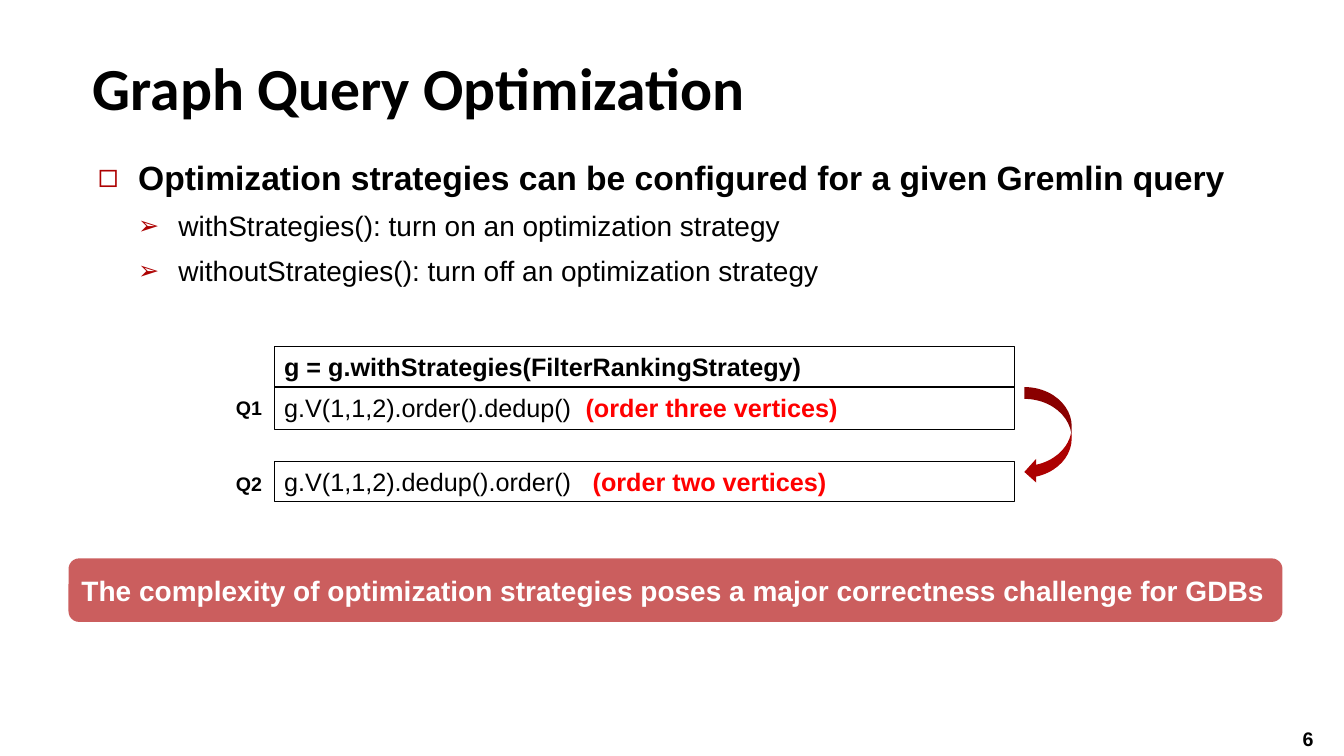
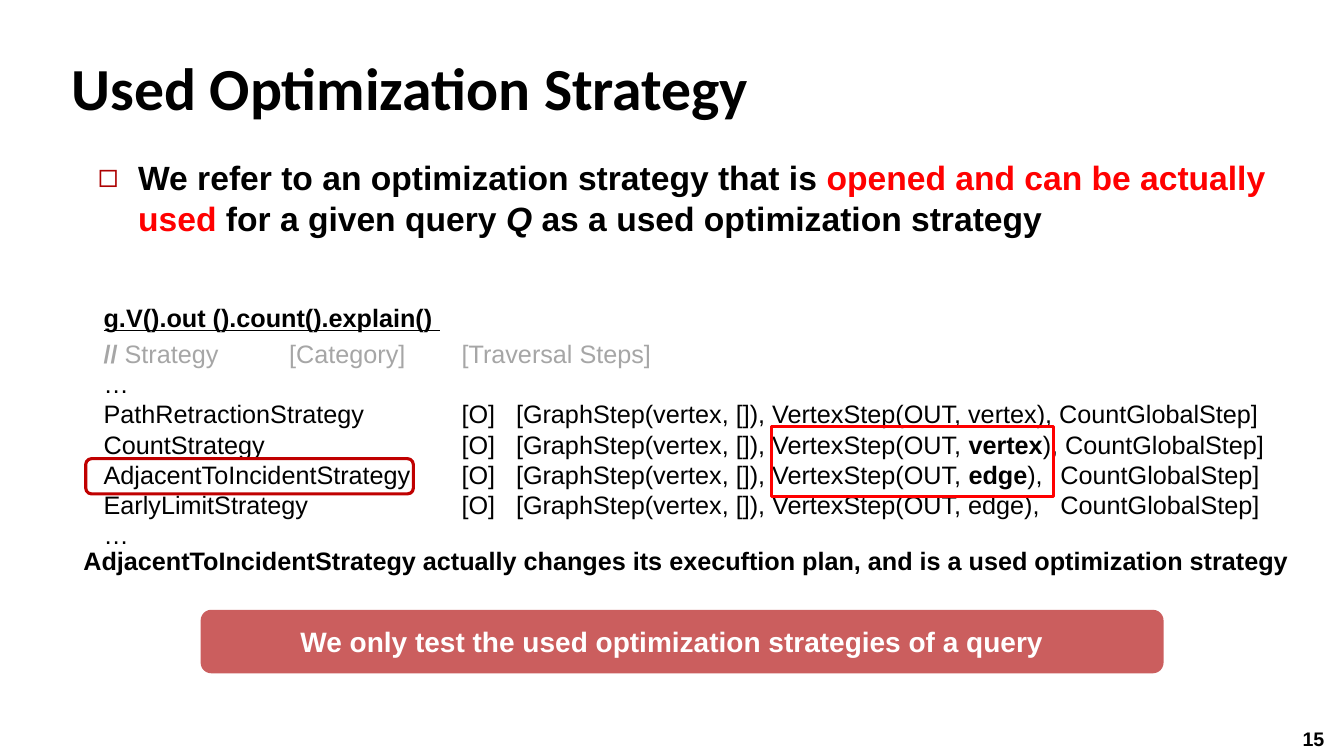
from dataclasses import dataclass

from lxml import etree
from pptx import Presentation
from pptx import util as u
from pptx.dml.color import RGBColor
from pptx.enum import shapes, text
from pptx.oxml.ns import qn

# Shared style
BLACK, WHITE, GRAY = "000000", "FFFFFF", "A6A6A6"
RED, DARK_RED, CRIMSON = "FF0000", "AD0101", "C00000"
BODY_FONT, TITLE_FONT = "Arial", "Calibri"
LEFT, CENTER = text.PP_ALIGN.LEFT, text.PP_ALIGN.CENTER
RECT, ROUND = shapes.MSO_SHAPE.RECTANGLE, shapes.MSO_SHAPE.ROUNDED_RECTANGLE


@dataclass(frozen=True)
class Run:
    text: str
    bold: bool = False
    color: str = BLACK
    italic: bool = False
    underline: bool = False


@dataclass(frozen=True)
class Para:
    runs: tuple[Run, ...]
    size: float = 18
    before: float = 0
    align: text.PP_ALIGN = LEFT
    tabs: tuple[float, ...] = ()
    level: int = 0
    bullet: str = ""
    bullet_pct: int = 100


@dataclass(frozen=True)
class Box:
    left: float
    top: float
    width: float
    height: float

    def lengths(self) -> tuple:
        return tuple(u.Inches(v) for v in (self.left, self.top, self.width, self.height))


@dataclass(frozen=True)
class Banner:
    box: Box
    label_left: float
    label_width: float
    label: str
    align: text.PP_ALIGN = LEFT


def rgb(value: str) -> RGBColor:
    return RGBColor.from_string(value)


def heading(*runs: Run) -> Para:
    return Para(runs, size=24, before=16, bullet="◻")


def subpoint(label: str) -> Para:
    return Para((Run(label),), size=20, before=8, level=1, bullet="➢", bullet_pct=90)


def add_bullet(pPr, item: Para) -> None:
    pPr.set("marL", str(u.Inches(0.4 * (item.level + 1))))
    pPr.set("indent", str(u.Inches(-0.4)))
    color = etree.SubElement(pPr, qn("a:buClr"))
    etree.SubElement(color, qn("a:srgbClr"), val=DARK_RED)
    etree.SubElement(pPr, qn("a:buSzPct"), val=str(item.bullet_pct * 1000))
    etree.SubElement(pPr, qn("a:buFont"), typeface=BODY_FONT)
    etree.SubElement(pPr, qn("a:buChar"), char=item.bullet)


def write(sp, paras: list[Para], font: str = BODY_FONT, anchor=text.MSO_ANCHOR.TOP) -> None:
    tf = sp.text_frame
    tf.word_wrap = True
    tf.auto_size = text.MSO_AUTO_SIZE.NONE
    tf.vertical_anchor = anchor
    for i, item in enumerate(paras):
        p = tf.add_paragraph() if i else tf.paragraphs[0]
        p.alignment, p.level = item.align, item.level
        p.space_before = u.Pt(item.before)
        pPr = p._p.get_or_add_pPr()
        if item.bullet:
            add_bullet(pPr, item)
        if item.tabs:
            stops = etree.SubElement(pPr, qn("a:tabLst"))
            for stop in item.tabs:
                etree.SubElement(stops, qn("a:tab"), pos=str(u.Inches(stop)), algn="l")
        for part in item.runs:
            r = p.add_run()
            r.text = part.text
            r.font.name, r.font.size = font, u.Pt(item.size)
            r.font.bold, r.font.italic = part.bold, part.italic
            r.font.underline = part.underline
            r.font.color.rgb = rgb(part.color)


def add_text(parent, box: Box, *paras: Para) -> None:
    write(parent.add_textbox(*box.lengths()), list(paras))


def add_shape(parent, kind, box: Box, fill: str = "", line: str = "", weight: float = 0.75):
    sp = parent.add_shape(kind, *box.lengths())
    sp.shadow.inherit = False
    if fill:
        sp.fill.solid()
        sp.fill.fore_color.rgb = rgb(fill)
    else:
        sp.fill.background()
    if line:
        sp.line.color.rgb = rgb(line)
        sp.line.width = u.Pt(weight)
    else:
        sp.line.fill.background()
    return sp


def add_banner(s, banner: Banner) -> None:
    group = s.shapes.add_group_shape().shapes
    sp = add_shape(group, ROUND, banner.box, fill=DARK_RED)
    color = sp._element.spPr.find(qn("a:solidFill"))[0]
    etree.SubElement(color, qn("a:alpha"), val="63000")
    label_box = Box(banner.label_left, banner.box.top + 0.1, banner.label_width, 0.44)
    label = Run(banner.label, bold=True, color=WHITE)
    add_text(group, label_box, Para((label,), size=20, align=banner.align))


def add_slide(prs, title: str, title_left: float, body_box: Box, body: list[Para], number: int):
    """Slide with title, bulleted body and page number."""
    s = prs.slides.add_slide(prs.slide_layouts[1])
    head, content = s.placeholders[0], s.placeholders[1]
    for sp, box in ((head, Box(title_left, 0.34, 11.84, 0.93)), (content, body_box)):
        sp.left, sp.top, sp.width, sp.height = box.lengths()
    write(head, [Para((Run(title, bold=True),), size=42.6)], TITLE_FONT, text.MSO_ANCHOR.BOTTOM)
    head.text_frame.paragraphs[0].line_spacing = u.Pt(46.6)
    write(content, body)
    add_text(s.shapes, Box(12.82, 7.16, 0.48, 0.34), Para((Run(str(number), bold=True),), size=14))
    return s


def build_query_slide(prs) -> None:
    s = add_slide(prs, "Graph Query Optimization", 0.82, Box(0.87, 1.51, 12.17, 2.03), [
        heading(Run("Optimization strategies can be configured for a given Gremlin query", bold=True)),
        subpoint("withStrategies(): turn on an optimization strategy"),
        subpoint("withoutStrategies(): turn off an optimization strategy"),
    ], 6)

    # Query boxes
    queries = [
        (3.84, 0.42, 2.99, (Run("g.V(1,1,2).order().dedup()\t"),
                            Run("(order three vertices)", bold=True, color=RED))),
        (3.44, 0.4, 2.99, (Run("g = g.withStrategies(FilterRankingStrategy)", bold=True),)),
        (4.58, 0.4, 3.06, (Run("g.V(1,1,2).dedup().order()\t"),
                           Run("(order two vertices)", bold=True, color=RED))),
    ]
    for top, height, tab, runs in queries:
        sp = add_shape(s.shapes, RECT, Box(2.72, top, 7.34, height), line=BLACK)
        write(sp, [Para(runs, tabs=(tab,))])

    # Query labels and rewrite arrow
    for label, top in (("Q1", 3.88), ("Q2", 4.63)):
        add_text(s.shapes, Box(2.24, top, 0.57, 0.34), Para((Run(label, bold=True),), size=14))
    add_shape(s.shapes, shapes.MSO_SHAPE.CURVED_LEFT_ARROW, Box(10.16, 3.84, 0.47, 0.96), fill=DARK_RED)

    add_banner(s, Banner(
        Box(0.68, 5.54, 12.04, 0.63), 0.71, 12.08,
        "The complexity of optimization strategies poses a major correctness challenge for GDBs"))


def plan_row(strategy: str, element: str, ending: str, bold: bool = False) -> Para:
    """One strategy of the explain output, in tabbed columns."""
    return Para((
        Run(f"{strategy}\t[O]\t[GraphStep(vertex, []), VertexStep(OUT, "),
        Run(element, bold=bold),
        Run(f"),{ending}CountGlobalStep]"),
    ), tabs=(3.55, 4.09, 9.49))


def build_strategy_slide(prs) -> None:
    s = add_slide(prs, "Used Optimization Strategy", 0.61, Box(0.87, 1.51, 11.8, 0.91), [
        heading(
            Run("We refer to an optimization strategy that is ", bold=True),
            Run("opened and can be actually used", bold=True, color=RED),
            Run(" for a given query ", bold=True),
            Run("Q ", bold=True, italic=True),
            Run("as a used optimization strategy", bold=True)),
    ], 15)

    # Explain output
    ellipsis = Para((Run("…"),))
    add_text(
        s.shapes, Box(0.93, 2.95, 11.76, 2.58),
        Para((Run("g.V().out ().count().explain() ", bold=True, underline=True),), before=4),
        Para((Run("// ", bold=True, color=GRAY),
              Run("Strategy\t[Category]\t[Traversal Steps]", color=GRAY)),
             before=4, tabs=(1.84, 3.55)),
        ellipsis,
        plan_row("PathRetractionStrategy", "vertex", " "),
        plan_row("CountStrategy", "vertex", " ", bold=True),
        plan_row("AdjacentToIncidentStrategy", "edge", "\t", bold=True),
        plan_row("EarlyLimitStrategy", "edge", "\t"),
        ellipsis)

    # Highlights and conclusion
    add_shape(s.shapes, RECT, Box(7.65, 4.23, 2.8, 0.7), line=RED, weight=2.25)
    add_shape(s.shapes, ROUND, Box(0.85, 4.55, 3.25, 0.35), line=CRIMSON, weight=2.25)
    conclusion = ("AdjacentToIncidentStrategy actually changes its execuftion plan, "
                  "and is a used optimization strategy")
    add_text(s.shapes, Box(0.65, 5.36, 12.31, 0.4),
             Para((Run(conclusion, bold=True),), align=CENTER))

    add_banner(s, Banner(
        Box(1.99, 6.05, 9.55, 0.63), 2.01, 9.31,
        "We only test the used optimization strategies of a query", CENTER))


def main() -> None:
    prs = Presentation()
    prs.slide_width, prs.slide_height = u.Inches(13.33), u.Inches(7.5)
    build_query_slide(prs)
    build_strategy_slide(prs)
    prs.save("out.pptx")


if __name__ == "__main__":
    main()
